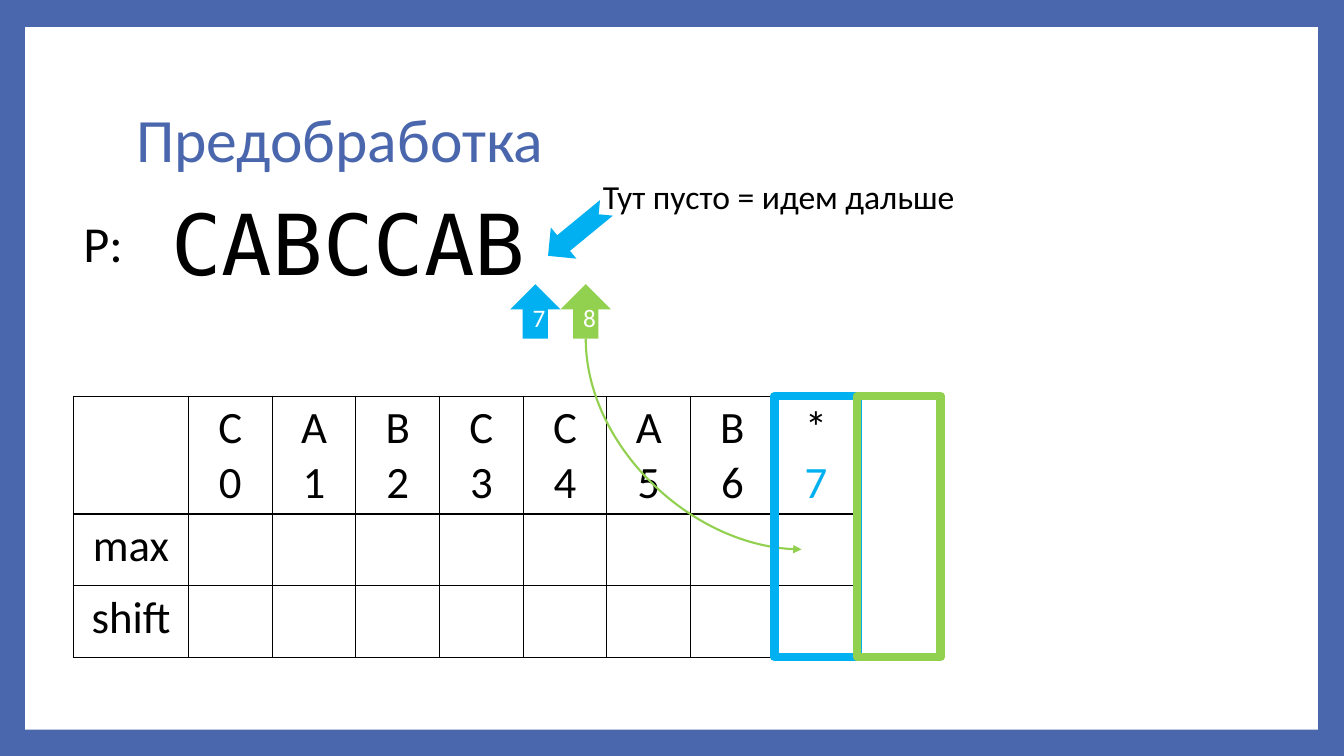
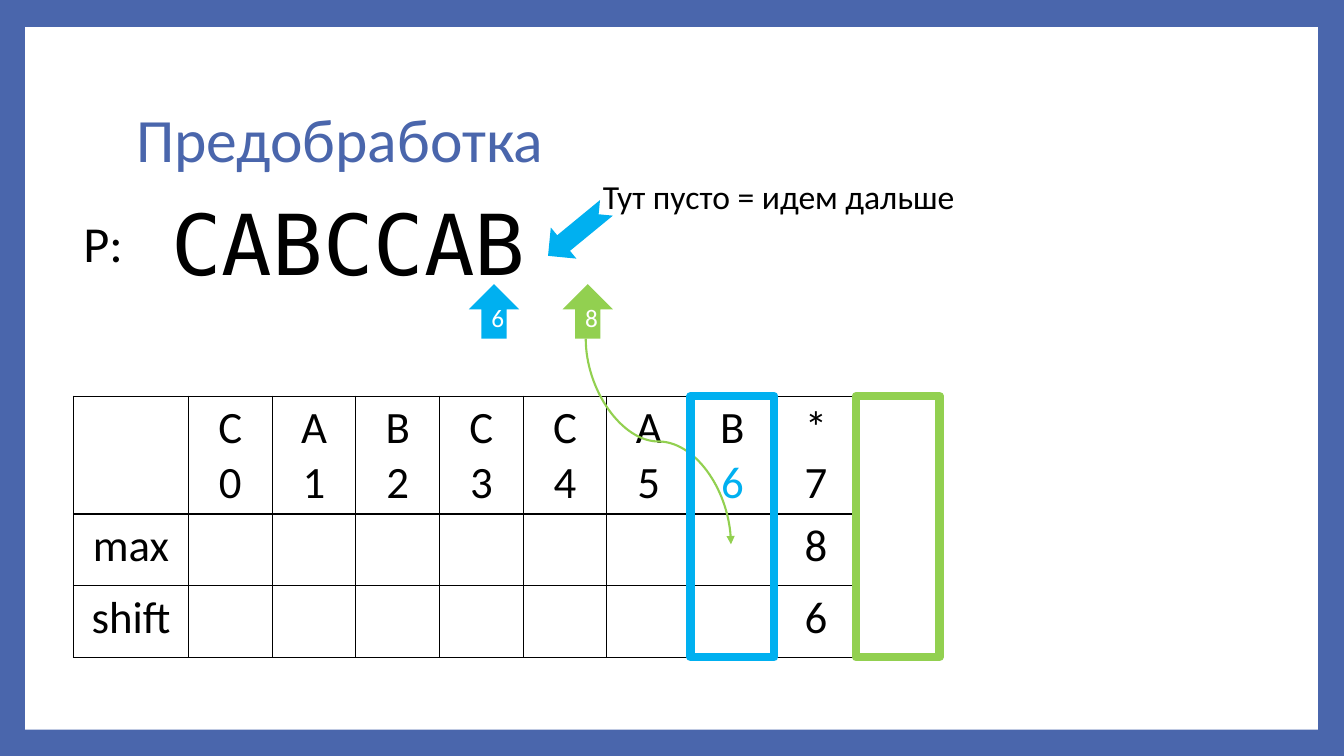
from lxml import etree
from pptx import Presentation
from pptx.dml.color import RGBColor
from pptx.enum import shapes, text
from pptx.oxml import ns
from pptx.util import Inches, Pt

COLORS = {"frame": "4A66AC", "white": "FFFFFF", "ink": "000000",
          "current": "00B0F0", "match": "92D050"}
FONT, MONO = "Calibri", "DejaVu Sans Mono"

TITLE = "Предобработка"
PATTERN = "CABCCAB"
LABELS = [
    ("P:", (0.73, 2.05, 0.67, 0.71), 36, FONT),
    (PATTERN, (1.6, 1.85, 5.61, 1.11), 60, MONO),
    ("Тут пусто = идем дальше", (5.88, 1.7, 3.88, 0.5), 24, FONT),
]
ROW_NAMES = ["max", "shift"]
STEPS = [
    {"current": 7, "pointer": 5.06, "match": 5.56, "box": 8.5, "filled": {},
     "curve": ("curvedConnector2", (7.95, 5.45))},
    {"current": 6, "pointer": 4.65, "match": 5.58, "box": 8.49,
     "filled": {7: ("8", "6")},
     "curve": ("curvedConnector3", (7.25, 5.4))},
]
MATCH_INDEX = 8
CURVE_START = (5.81, 3.36)

TABLE_LEFT, TABLE_TOP = 0.73, 3.93
NAME_WIDTH, COLUMN_WIDTH = 1.14, 0.83
ROW_HEIGHTS = [1.17, 0.71, 0.71]
TABLE_HEIGHT = sum(ROW_HEIGHTS)


def rgb(name):
    return RGBColor.from_string(COLORS[name])


def inches(values):
    return [Inches(value) for value in values]


def style(paragraph, size, color="ink", font=FONT, align=None):
    paragraph.alignment = align
    for run in paragraph.runs:
        run.font.size, run.font.name = Pt(size), font
        run.font.color.rgb = rgb(color)


def add_figure(slide, preset, place, fill=None, outline=None):
    figure = slide.shapes.add_shape(preset, *inches(place))
    figure.shadow.inherit = False
    if fill:
        figure.fill.solid()
        figure.fill.fore_color.rgb = rgb(fill)
    else:
        figure.fill.background()
    if outline:
        figure.line.color.rgb = rgb(outline)
        figure.line.width = Pt(6)
    else:
        figure.line.fill.background()
    return figure


def add_title(slide):
    title = slide.shapes.title
    title.left, title.top, title.width, title.height = inches((1.25, 0.67, 10.8, 1.48))
    title.text_frame.text = TITLE
    title.text_frame.vertical_anchor = text.MSO_ANCHOR.MIDDLE
    heading = title.text_frame.paragraphs[0]
    heading.line_spacing = 0.9
    style(heading, 44, "frame", align=text.PP_ALIGN.LEFT)


def add_label(slide, words, place, size, font):
    label = slide.shapes.add_textbox(*inches(place)).text_frame
    label.word_wrap = True
    label.text = words
    style(label.paragraphs[0], size, font=font)


def add_pointer(slide, left, index, color):
    pointer = add_figure(slide, shapes.MSO_SHAPE.UP_ARROW, (left, 2.82, 0.5, 0.54), color)
    pointer.text_frame.text = str(index)
    pointer.text_frame.vertical_anchor = text.MSO_ANCHOR.MIDDLE
    style(pointer.text_frame.paragraphs[0], 18, "white", align=text.PP_ALIGN.CENTER)


def add_curve(slide, preset, end):
    (x1, y1), (x2, y2) = CURVE_START, end
    width, height = y2 - y1, x2 - x1
    left, top = (x1 + x2 - width) / 2, (y1 + y2 - height) / 2
    curve = slide.shapes.add_connector(
        shapes.MSO_CONNECTOR.CURVE, *inches((left + width, top, left, top + height)))
    curve.line.color.rgb = rgb("match")
    curve.line.width = Pt(1.5)
    properties = curve.element.spPr
    properties.find(ns.qn("a:xfrm")).set("rot", str(270 * 60000))
    properties.find(ns.qn("a:prstGeom")).set("prst", preset)
    etree.SubElement(properties.find(ns.qn("a:ln")), ns.qn("a:tailEnd"), type="triangle")
    etree.SubElement(properties, ns.qn("a:effectLst"))


def border(cell):
    properties = cell._tc.get_or_add_tcPr()
    for position, side in enumerate(("lnL", "lnR", "lnT", "lnB")):
        line = etree.Element(ns.qn("a:" + side), w=str(Pt(1)))
        fill = etree.SubElement(line, ns.qn("a:solidFill"))
        etree.SubElement(fill, ns.qn("a:srgbClr"), val=COLORS["ink"])
        properties.insert(position, line)


def add_shift_table(slide, current, filled):
    symbols = PATTERN + "*"
    empty = ("",) * len(ROW_NAMES)
    columns = [["", *ROW_NAMES]]
    columns += [[f"{symbol}\n{i}", *filled.get(i, empty)] for i, symbol in enumerate(symbols)]
    widths = [NAME_WIDTH] + [COLUMN_WIDTH] * len(symbols)
    table = slide.shapes.add_table(
        len(ROW_HEIGHTS), len(columns),
        *inches((TABLE_LEFT, TABLE_TOP, sum(widths), TABLE_HEIGHT))).table
    table.first_row = table.horz_banding = False
    for row, height in zip(table.rows, ROW_HEIGHTS):
        row.height = Inches(height)
    for c, (entries, width) in enumerate(zip(columns, widths)):
        table.columns[c].width = Inches(width)
        for r, entry in enumerate(entries):
            cell = table.cell(r, c)
            cell.fill.background()
            border(cell)
            cell.text_frame.text = entry
            for n, paragraph in enumerate(cell.text_frame.paragraphs):
                color = "current" if n == 1 and c == current + 1 else "ink"
                style(paragraph, 32, color, align=text.PP_ALIGN.CENTER)


def add_column_box(slide, left, color):
    add_figure(slide, shapes.MSO_SHAPE.RECTANGLE,
               (left, TABLE_TOP, COLUMN_WIDTH, TABLE_HEIGHT), outline=color)


def add_step(slide, step):
    add_title(slide)
    add_pointer(slide, step["pointer"], step["current"], "current")
    add_pointer(slide, step["match"], MATCH_INDEX, "match")
    hint = add_figure(slide, shapes.MSO_SHAPE.NOTCHED_RIGHT_ARROW,
                      (5.35, 2.1, 0.75, 0.4), "current")
    hint.rotation = 140.6
    for label in LABELS:
        add_label(slide, *label)
    add_shift_table(slide, step["current"], step["filled"])
    add_curve(slide, *step["curve"])
    column_left = TABLE_LEFT + NAME_WIDTH + step["current"] * COLUMN_WIDTH
    add_column_box(slide, column_left, "current")
    add_column_box(slide, step["box"], "match")


def main():
    deck = Presentation()
    deck.slide_width, deck.slide_height = inches((13.33, 7.5))
    layout = deck.slide_layouts.get_by_name("Title Only")
    backdrop = deck.slide_master.background.fill
    backdrop.solid()
    backdrop.fore_color.rgb = rgb("frame")
    slides = [deck.slides.add_slide(layout) for _ in STEPS]
    page = add_figure(slides[0], shapes.MSO_SHAPE.RECTANGLE,
                      (0.25, 0.27, 12.82, 6.97), "white")
    layout.shapes.element.insert(2, page.element)
    for slide, step in zip(slides, STEPS):
        add_step(slide, step)
    deck.save("out.pptx")


if __name__ == "__main__":
    main()
